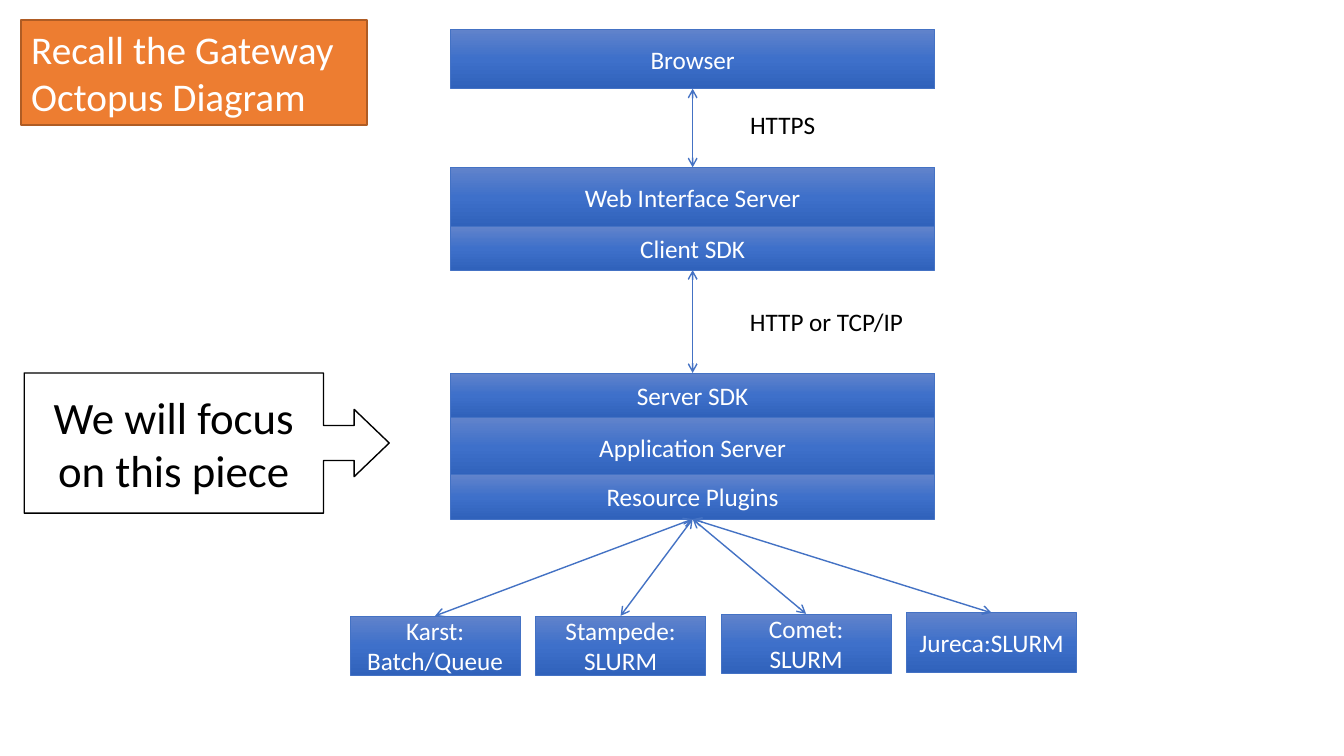
import copy

import lxml.etree
import pptx
import pptx.dml.color
import pptx.enum.shapes
import pptx.enum.text
import pptx.oxml.ns
import pptx.util

Inches = pptx.util.Inches
Pt = pptx.util.Pt
qn = pptx.oxml.ns.qn
Shape = pptx.enum.shapes.MSO_SHAPE
Anchor = pptx.enum.text.MSO_ANCHOR
Align = pptx.enum.text.PP_ALIGN
AutoSize = pptx.enum.text.MSO_AUTO_SIZE

COLOURS = {
    "white": "FFFFFF",
    "black": "000000",
    "blue": "4472C4",
    "orange": "ED7D31",
    "brown": "AF5C24",
}
LAYER_GRADIENT = [(0, "6183CB"), (0.5, "3E70CA"), (1, "3062BB")]
TOP_SITE, BOTTOM_SITE = 0, 2


def rgb(value):
    return pptx.dml.color.RGBColor.from_string(value)


def write(shape, text, size, colour, align=Align.CENTER, anchor=Anchor.MIDDLE):
    frame = shape.text_frame
    frame.word_wrap = True
    frame.vertical_anchor = anchor
    frame.text = text
    para = frame.paragraphs[0]
    para.alignment = align
    para.font.name = "Calibri"
    para.font.size = Pt(size)
    para.font.color.rgb = rgb(COLOURS[colour])


def paint(shape, fill, line):
    shape.fill.solid()
    shape.fill.fore_color.rgb = rgb(COLOURS[fill])
    shape.line.color.rgb = rgb(COLOURS[line])
    shape.line.width = Pt(1)


def place(shape, left, top, width, height):
    shape.left, shape.top = Inches(left), Inches(top)
    shape.width, shape.height = Inches(width), Inches(height)


def add_title(page, left, top, width, height):
    title = page.shapes.title
    place(title, left, top, width, height)
    paint(title, "orange", "brown")
    write(title, "Recall the Gateway Octopus Diagram", 28, "white", Align.LEFT, Anchor.TOP)
    title.text_frame.auto_size = AutoSize.NONE


def add_layer(page, text, left, top, width, height):
    box = page.shapes.add_shape(
        Shape.RECTANGLE, Inches(left), Inches(top), Inches(width), Inches(height)
    )
    box.shadow.inherit = False
    box.fill.gradient()
    box.fill.gradient_angle = 270
    stops = box._element.spPr.find(qn("a:gradFill")).find(qn("a:gsLst"))
    stops.insert(1, copy.deepcopy(stops[0]))
    for stop, (position, colour) in zip(box.fill.gradient_stops, LAYER_GRADIENT):
        stop.position = position
        stop.color.rgb = rgb(colour)
    box.line.color.rgb = rgb(COLOURS["blue"])
    box.line.width = Pt(0.5)
    write(box, text, 18, "white")
    return box


def add_arrow(page, upper, lower):
    arrow = page.shapes.add_connector(pptx.enum.shapes.MSO_CONNECTOR.STRAIGHT, 0, 0, 0, 0)
    arrow.begin_connect(upper, BOTTOM_SITE)
    arrow.end_connect(lower, TOP_SITE)
    arrow.line.color.rgb = rgb(COLOURS["blue"])
    arrow.line.width = Pt(1)
    properties = arrow._element.spPr
    outline = properties.find(qn("a:ln"))
    for end in ("a:headEnd", "a:tailEnd"):
        lxml.etree.SubElement(outline, qn(end), type="arrow")
    lxml.etree.SubElement(properties, qn("a:effectLst"))


def add_protocol(page, text, left, top, width, height):
    label = page.shapes.add_textbox(Inches(left), Inches(top), Inches(width), Inches(height))
    write(label, text, 18, "black", Align.LEFT, Anchor.TOP)
    label.text_frame.word_wrap = False
    label.text_frame.auto_size = AutoSize.SHAPE_TO_FIT_TEXT


def add_stack(page, left, top, width):
    layers = {}
    for text, offset, height in [
        ("Browser", 0, 0.59),
        ("Web Interface Server", 1.37, 0.59),
        ("Client SDK", 1.96, 0.43),
        ("Server SDK", 3.41, 0.44),
        ("Application Server", 3.85, 0.59),
        ("Resource Plugins", 4.42, 0.44),
    ]:
        layers[text] = add_layer(page, text, left, top + offset, width, height)
    add_arrow(page, layers["Browser"], layers["Web Interface Server"])
    add_arrow(page, layers["Client SDK"], layers["Server SDK"])
    add_protocol(page, "HTTPS", left + 2.87, top + 0.75, 0.85, 0.4)
    add_protocol(page, "HTTP or TCP/IP", left + 2.87, top + 2.7, 1.74, 0.4)
    return layers["Resource Plugins"]


def add_resources(page, plugins, left, top, width, height):
    pitch = 1.84
    resources = [
        ("Karst: Batch/Queue", 0.03),
        ("Stampede: SLURM", 0.03),
        ("Comet: SLURM", 0.01),
        ("Jureca:SLURM", 0),
    ]
    for column, (text, drop) in enumerate(resources):
        box = add_layer(page, text, left + column * pitch, top + drop, width, height)
        add_arrow(page, plugins, box)


def add_focus_callout(page, left, top, width, height):
    callout = page.shapes.add_shape(
        Shape.RIGHT_ARROW_CALLOUT, Inches(left), Inches(top), Inches(width), Inches(height)
    )
    callout.shadow.inherit = False
    for index, value in enumerate([0.25, 0.24, 0.25, 0.82]):
        callout.adjustments[index] = value
    paint(callout, "white", "black")
    write(callout, "We will focus on this piece", 32, "black")


def main():
    deck = pptx.Presentation()
    deck.slide_width, deck.slide_height = Inches(13.33), Inches(7.5)
    page = deck.slides.add_slide(deck.slide_layouts.get_by_name("Title Only"))
    add_title(page, 0.21, 0.2, 3.43, 1.04)
    plugins = add_stack(page, 4.47, 0.29, 4.8)
    add_resources(page, plugins, 3.47, 6.08, 1.69, 0.59)
    add_focus_callout(page, 0.24, 3.7, 3.62, 1.39)
    deck.save("out.pptx")


if __name__ == "__main__":
    main()
